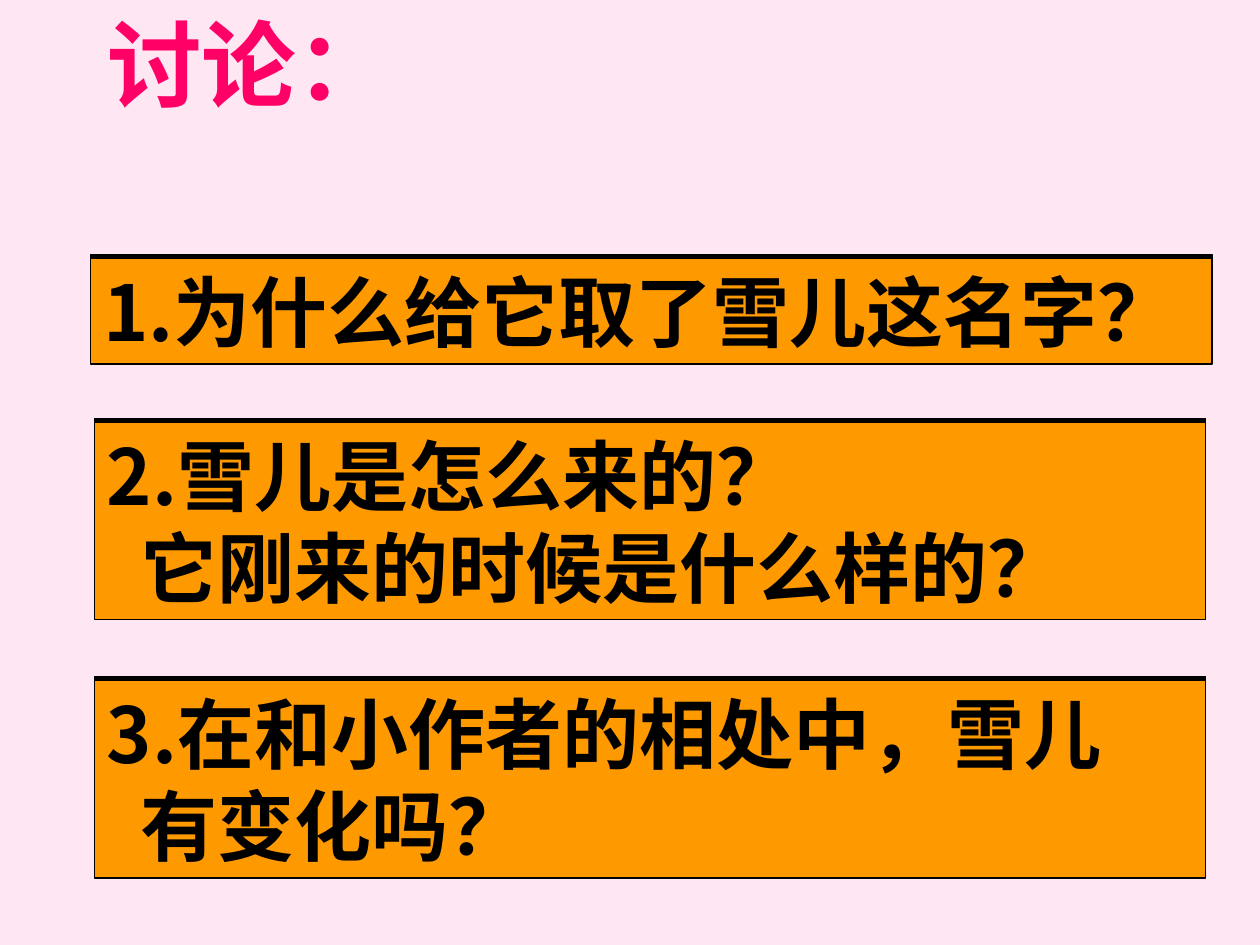
"""Build a discussion slide with three question boxes."""
import pptx
import pptx.dml.color
import pptx.enum.shapes
import pptx.enum.text
import pptx.oxml.ns
import pptx.util
from lxml import etree

Inches = pptx.util.Inches
FONT = "Noto Sans CJK SC"


def color(value):
    return pptx.dml.color.RGBColor.from_string(value)


def write_text(shape, lines, size, text_color):
    text_frame = shape.text_frame
    text_frame.word_wrap = True
    text_frame.auto_size = pptx.enum.text.MSO_AUTO_SIZE.NONE
    text_frame.vertical_anchor = pptx.enum.text.MSO_ANCHOR.TOP
    text_frame.text = "\n".join(lines)
    for index, paragraph in enumerate(text_frame.paragraphs):
        paragraph.alignment = pptx.enum.text.PP_ALIGN.LEFT
        if index > 0:
            paragraph._p.get_or_add_pPr().set("marL", str(Inches(0.27)))
        for run in paragraph.runs:
            run.font.size = pptx.util.Pt(size)
            run.font.bold = True
            run.font.name = FONT
            run.font.color.rgb = color(text_color)
            east_asian = etree.SubElement(run.font._element, pptx.oxml.ns.qn("a:ea"))
            east_asian.set("typeface", FONT)


presentation = pptx.Presentation()
presentation.slide_width = Inches(10)
presentation.slide_height = Inches(7.5)
slide = presentation.slides.add_slide(presentation.slide_layouts[5])
slide.background.fill.solid()
slide.background.fill.fore_color.rgb = color("FEE7F2")

title = slide.shapes.title
title.left, title.top = Inches(0.75), Inches(0)
title.width, title.height = Inches(3.7), Inches(1)
write_text(title, ["讨论："], 54, "FF0066")

questions = [
    (0.72, 2.05, 8.9, 0.84, ["1.为什么给它取了雪儿这名字？"]),
    (0.75, 3.35, 8.82, 1.57, ["2.雪儿是怎么来的？", "它刚来的时候是什么样的？"]),
    (0.75, 5.4, 8.82, 1.57, ["3.在和小作者的相处中，雪儿", "有变化吗？"]),
]
backing_rise = 0.03

for left, top, width, height, lines in questions:
    for rise, fill_color in ((backing_rise, "000000"), (0, "FF9900")):
        box = slide.shapes.add_shape(
            pptx.enum.shapes.MSO_SHAPE.RECTANGLE,
            Inches(left), Inches(top - rise), Inches(width), Inches(height),
        )
        box.shadow.inherit = False
        box.fill.solid()
        box.fill.fore_color.rgb = color(fill_color)
        box.line.color.rgb = color("000000")
        box.line.width = pptx.util.Pt(0.75)
    write_text(box, lines, 44, "000000")

presentation.save("out.pptx")
